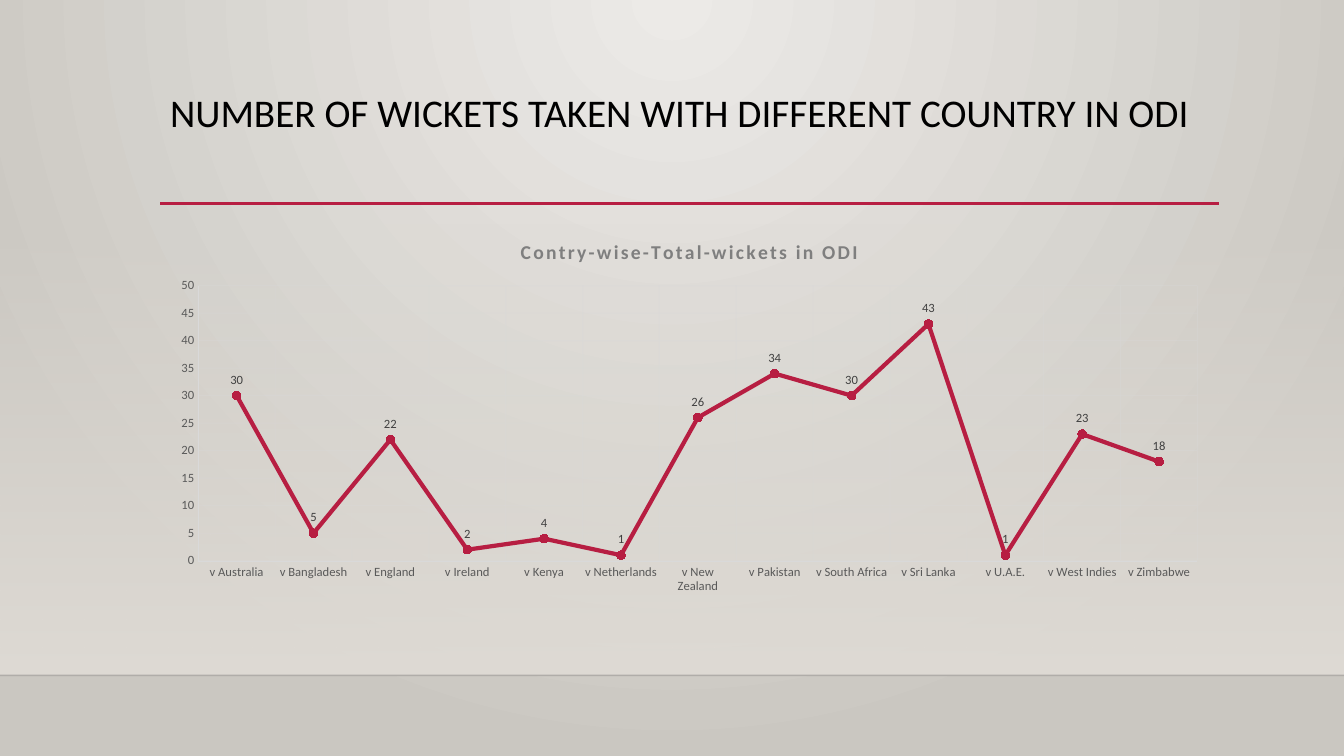
from lxml.etree import SubElement
from pptx import Presentation
from pptx.chart.data import CategoryChartData
from pptx.dml.color import RGBColor
from pptx.enum.chart import XL_CHART_TYPE, XL_LABEL_POSITION, XL_MARKER_STYLE, XL_TICK_MARK
from pptx.enum.shapes import MSO_SHAPE
from pptx.enum.text import MSO_ANCHOR
from pptx.oxml import parse_xml
from pptx.oxml.ns import nsdecls, qn
from pptx.util import Pt

WIDTH, HEIGHT = 960, 540
COLORS = {
    "title": "000000",
    "accent": "B71E42",
    "glow": "ECEAE7",
    "edge": "CAC7C1",
    "wall": "DFDBD5",
    "floor_line": "000001",
    "chart_title": "7F7F7F",
    "axis_text": "595959",
    "axis_line": "D9D9D9",
    "label": "404040",
}
WICKETS = {
    "v Australia": 30,
    "v Bangladesh": 5,
    "v England": 22,
    "v Ireland": 2,
    "v Kenya": 4,
    "v Netherlands": 1,
    "v New Zealand": 26,
    "v Pakistan": 34,
    "v South Africa": 30,
    "v Sri Lanka": 43,
    "v U.A.E.": 1,
    "v West Indies": 23,
    "v Zimbabwe": 18,
}


def gradient(stops, direction):
    """Build a gradient fill from (position, colour name, opacity) in percent."""
    stop_xml = "".join(
        f'<a:gs pos="{position * 1000}"><a:srgbClr val="{COLORS[color]}">'
        f'<a:alpha val="{opacity * 1000}"/></a:srgbClr></a:gs>'
        for position, color, opacity in stops
    )
    return parse_xml(
        f'<a:gradFill {nsdecls("a")} rotWithShape="1">'
        f"<a:gsLst>{stop_xml}</a:gsLst>{direction}</a:gradFill>"
    )


class SlideBuilder:
    font_name = "Calibri"

    def __init__(self, slide):
        self.slide = slide

    def style_font(self, font, size, color, bold=False):
        font.name = self.font_name
        font.size = Pt(size)
        font.bold = bold
        font.color.rgb = RGBColor.from_string(COLORS[color])

    def style_line(self, line, color, width, opacity=100):
        line.width = Pt(width)
        line.color.rgb = RGBColor.from_string(COLORS[color])
        if opacity < 100:
            color_element = line.fill._xPr.find(".//" + qn("a:srgbClr"))
            SubElement(color_element, qn("a:alpha"), val=str(opacity * 1000))

    def background(self):
        self.slide.background.fill.solid()
        solid = self.slide.element.find(".//" + qn("p:bgPr")).find(qn("a:solidFill"))
        circle = (
            '<a:path path="circle">'
            '<a:fillToRect l="43000" t="0" r="43000" b="100000"/></a:path>'
        )
        solid.getparent().replace(
            solid, gradient([(0, "glow", 100), (100, "edge", 100)], circle)
        )

    def fading_panel(self, left, top, width, height, color):
        """Add a rectangle that goes from clear at the top to solid below."""
        shape = self.slide.shapes.add_shape(
            MSO_SHAPE.RECTANGLE, Pt(left), Pt(top), Pt(width), Pt(height)
        )
        shape.shadow.inherit = False
        shape.line.fill.background()
        shape.fill.solid()
        solid = shape.element.spPr.find(qn("a:solidFill"))
        downward = '<a:lin ang="5400000" scaled="0"/>'
        solid.getparent().replace(
            solid, gradient([(0, color, 0), (100, color, 100)], downward)
        )

    def rule(self, left, right, top, color, width, opacity=100):
        connector = self.slide.shapes.add_connector(1, Pt(left), Pt(top), Pt(right), Pt(top))
        self.style_line(connector.line, color, width, opacity)
        SubElement(connector.element.spPr, qn("a:effectLst"))

    def title(self, text, left, top, width, height):
        frame = self.slide.shapes.add_textbox(
            Pt(left), Pt(top), Pt(width), Pt(height)
        ).text_frame
        frame.word_wrap = True
        frame.vertical_anchor = MSO_ANCHOR.TOP
        paragraph = frame.paragraphs[0]
        paragraph.text = text
        paragraph.line_spacing = 0.9
        self.style_font(paragraph.font, 28, "title")

    def style_axis(self, axis):
        axis.major_tick_mark = axis.minor_tick_mark = XL_TICK_MARK.NONE
        self.style_font(axis.tick_labels.font, 9, "axis_text")
        self.style_line(axis.format.line, "axis_line", 0.25)
        axis.has_major_gridlines = True
        self.style_line(axis.major_gridlines.format.line, "axis_line", 0.75, 32)

    def line_chart(self, title, values, left, top, width, height):
        data = CategoryChartData()
        data.categories = list(values)
        data.add_series("Series 1", list(values.values()))
        chart = self.slide.shapes.add_chart(
            XL_CHART_TYPE.LINE_MARKERS, Pt(left), Pt(top), Pt(width), Pt(height), data
        ).chart
        self.style_font(chart.font, 10, "title")
        chart.has_legend = False

        chart.has_title = True
        paragraph = chart.chart_title.text_frame.paragraphs[0]
        run = paragraph.add_run()
        run.text = title
        self.style_font(run.font, 14, "chart_title", bold=True)
        run.font._element.set("spc", "150")
        chart.chart_title.include_in_layout = False

        self.style_axis(chart.category_axis)
        self.style_axis(chart.value_axis)
        chart.value_axis.minimum_scale = 0
        chart.value_axis.maximum_scale = 50
        chart.value_axis.major_unit = 5

        plot = chart.plots[0]
        plot.vary_by_categories = False
        series = plot.series[0]
        series.smooth = False
        self.style_line(series.format.line, "accent", 3)
        marker = series.marker
        marker.style = XL_MARKER_STYLE.CIRCLE
        marker.size = 6
        marker.format.fill.solid()
        marker.format.fill.fore_color.rgb = RGBColor.from_string(COLORS["accent"])
        self.style_line(marker.format.line, "accent", 0.75)

        labels = series.data_labels
        labels.show_value = True
        labels.position = XL_LABEL_POSITION.ABOVE
        self.style_font(labels.font, 9, "label")


def main():
    presentation = Presentation()
    presentation.slide_width, presentation.slide_height = Pt(WIDTH), Pt(HEIGHT)
    builder = SlideBuilder(presentation.slides.add_slide(presentation.slide_layouts[6]))

    left, content_width, floor = 114.5, 756, 482.4
    builder.background()
    builder.fading_panel(0, 159, WIDTH, floor - 159, "wall")
    builder.rule(0, WIDTH, floor, "floor_line", 1, opacity=20)
    builder.rule(left, left + content_width, 145.4, "accent", 2.5)
    builder.title(
        "NUMBER OF WICKETS TAKEN WITH DIFFERENT COUNTRY IN ODI",
        left, 63.4, content_width, 82.6,
    )
    builder.line_chart(
        "Contry-wise-Total-wickets in ODI", WICKETS, left, 158.4, content_width, 271.4
    )
    presentation.save("out.pptx")


if __name__ == "__main__":
    main()
